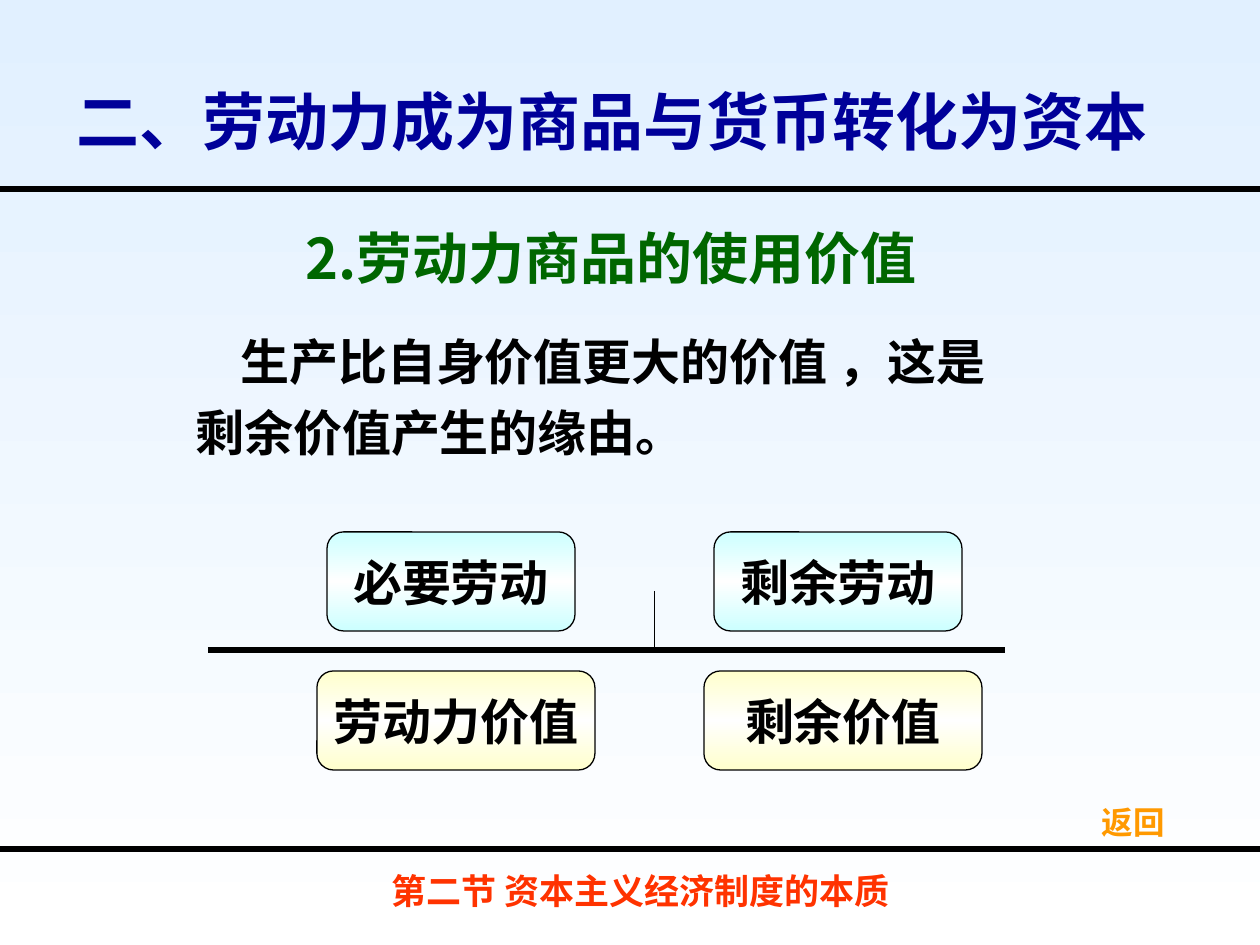
from copy import deepcopy
from lxml.etree import SubElement
from pptx import Presentation
from pptx.dml.color import RGBColor
from pptx.enum.shapes import MSO_CONNECTOR, MSO_SHAPE
from pptx.enum.text import MSO_ANCHOR, PP_ALIGN
from pptx.oxml.ns import qn
from pptx.util import Pt

BLACK = RGBColor(0, 0, 0)
WHITE = RGBColor(255, 255, 255)
SKY = RGBColor(0xE1, 0xF0, 0xFF)
CYAN = RGBColor(0xCC, 0xFF, 0xFF)
CREAM = RGBColor(0xFF, 0xFF, 0xCC)
NAVY = RGBColor(0, 0, 0x99)
GREEN = RGBColor(0, 0x66, 0)
RED = RGBColor(0xFF, 0x33, 0)
ORANGE = RGBColor(0xFF, 0x99, 0)
SANS, ARIAL = "Noto Sans CJK SC", "Arial"
LEFT, MID = PP_ALIGN.LEFT, PP_ALIGN.CENTER
TOP, CENTER = MSO_ANCHOR.TOP, MSO_ANCHOR.MIDDLE

# Content: lines, place, size, font, colour, alignment, anchor, wrap
TEXTS = [
    (["二、劳动力成为商品与货币转化为资本"], (64, 76, 1111, 88),
     36, SANS, NAVY, LEFT, TOP, True),
    (["2.劳动力商品的使用价值"], (293, 205, 903, 105),
     32, SANS, GREEN, LEFT, CENTER, True),
    (["生产比自身价值更大的价值 ，这是", "剩余价值产生的缘由。"],
     (183, 314, 908, 154), 28, SANS, BLACK, LEFT, TOP, True),
    (["返回"], (1083, 790, 101, 63), 18, ARIAL, ORANGE, MID, CENTER, False),
    (["第二节 资本主义经济制度的本质"], (273, 861, 735, 59),
     20, SANS, RED, MID, CENTER, False),
]
# Rows of boxes: labels, left, top, width, colour
ROWS = [
    (["必要劳动", "剩余劳动"], 327, 532, 248, CYAN),
    (["劳动力价值", "剩余价值"], 317, 671, 278, CREAM),
]
STEP, TALL = 387, 99
# Lines: from, to, weight
RULES = [
    ((0, 189), (1260, 189), 3),
    ((0, 849), (1260, 849), 3),
    ((208, 650), (1005, 650), 3),
    ((655, 591), (655, 648), 0.62),
]


def px(*nums):
    return [round(n * 914400 / 126) for n in nums]


def shade(fill, root, tints):
    """Fill from top to bottom with evenly spaced colours."""
    fill.gradient()
    fill.gradient_angle = 270
    stops = root.find(".//" + qn("a:gsLst"))
    while len(stops) < len(tints):
        stops.append(deepcopy(stops[-1]))
    for i, (stop, tint) in enumerate(zip(fill.gradient_stops, tints)):
        stop.color.rgb = tint
        stop.position = i / (len(tints) - 1)


def write(shape, lines, size, face, color, align, anchor, wrap):
    frame = shape.text_frame
    frame.word_wrap = wrap
    frame.vertical_anchor = anchor
    frame.text = "\n".join(lines)
    for para in frame.paragraphs:
        para.alignment = align
        if len(lines) > 1:
            para.line_spacing = 1.2
        font = para.font
        font.size, font.bold, font.name = Pt(size), True, face
        font.color.rgb = color
        props = para._p.pPr.find(qn("a:defRPr"))
        SubElement(props, qn("a:ea")).set("typeface", face)
    if len(lines) > 1:
        first = frame.paragraphs[0]._p.pPr
        first.set("marL", "0")
        first.set("indent", str(px(45)[0]))


deck = Presentation()
deck.slide_width, deck.slide_height = px(1260, 945)
slide = deck.slides.add_slide(deck.slide_layouts[6])
shapes = slide.shapes
shade(slide.background.fill, slide.element, [SKY, WHITE])

# Rules and divider
for start, end, weight in RULES:
    line = shapes.add_connector(MSO_CONNECTOR.STRAIGHT, *px(*start, *end))
    line.line.color.rgb = BLACK
    line.line.width = Pt(weight)
    SubElement(line._element.spPr, qn("a:effectLst"))

# Labour and value boxes
for labels, left, top, wide, tint in ROWS:
    for col, label in enumerate(labels):
        box = shapes.add_shape(MSO_SHAPE.ROUNDED_RECTANGLE,
                               *px(left + col * STEP, top, wide, TALL))
        box.shadow.inherit = False
        shade(box.fill, box._element, [tint, WHITE, tint])
        box.line.color.rgb = BLACK
        box.line.width = Pt(0.75)
        write(box, [label], 28, ARIAL, BLACK, MID, CENTER, False)

# Headings, body and footer
for lines, place, *style in TEXTS:
    write(shapes.add_textbox(*px(*place)), lines, *style)

deck.save("out.pptx")
